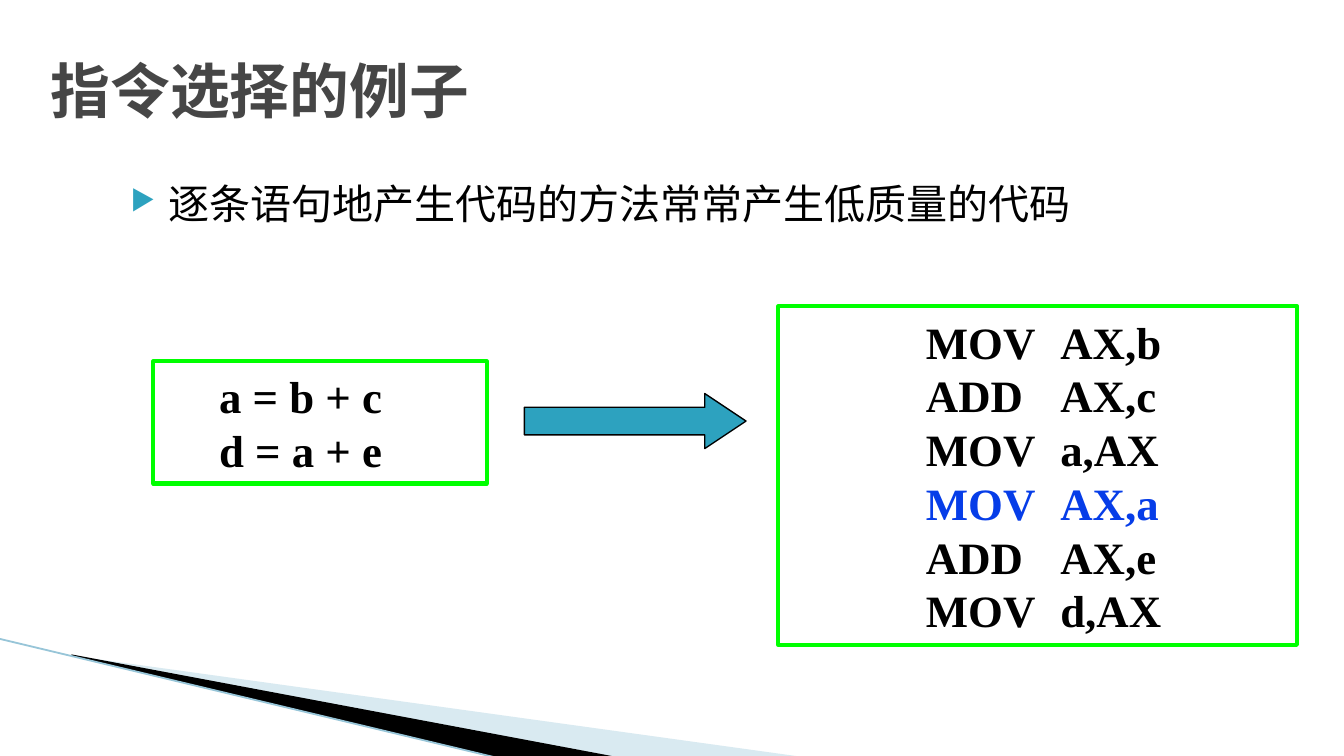
import pptx
import pptx.util
import pptx.dml.color
import pptx.enum.shapes
import pptx.enum.text
import pptx.oxml.ns
from dataclasses import dataclass
from lxml import etree
from pptx.util import Cm, Pt

SHAPE = pptx.enum.shapes.MSO_SHAPE


@dataclass(frozen=True)
class Theme:
    title: str = "464646"
    text: str = "000000"
    accent: str = "2DA2BF"
    frame: str = "00FF00"
    paper: str = "FFFFFF"
    redundant: str = "063DE8"
    wave: str = "A0CBDC"
    wave_edge: str = "97C5D8"
    cjk: str = "Noto Sans CJK SC"
    code: str = "Times New Roman"
    title_size: int = 32
    body_size: int = 22
    code_size: int = 24
    code_leading: float = 28.8


T = Theme()


def rgb(color):
    return pptx.dml.color.RGBColor.from_string(color)


def add_xml(parent, tag, **attrs):
    return etree.SubElement(parent, pptx.oxml.ns.qn(tag), attrs)


def style_run(r, font, size, color, bold=False):
    r.font.name, r.font.size, r.font.bold = font, Pt(size), bold
    r.font.color.rgb = rgb(color)
    add_xml(r.font._element, "a:ea", typeface=font)


def paint(sp, fill, line=None, width=0):
    sp.shadow.inherit = False
    sp.fill.solid()
    sp.fill.fore_color.rgb = rgb(fill)
    if line:
        sp.line.color.rgb = rgb(line)
        sp.line.width = Pt(width)
    else:
        sp.line.fill.background()


def add_polygon(s, left, top, points, fill):
    """Draw a filled outline whose points are offsets in cm from left, top."""
    (x, y), *rest = [(Cm(left + dx), Cm(top + dy)) for dx, dy in points]
    builder = s.shapes.build_freeform(x, y)
    builder.add_line_segments(rest, close=True)
    sp = builder.convert_to_shape()
    paint(sp, fill)
    return sp


def add_corner_wave(s, left, top):
    pale = add_polygon(s, left, top, [(1.4, 0.33), (15.11, 2.23), (11.58, 2.23)], T.wave)
    color = pale.fill._xPr.find(".//" + pptx.oxml.ns.qn("a:srgbClr"))
    add_xml(color, "a:alpha", val="40000")
    add_polygon(s, left, top,
                [(1.35, 0.3), (11.61, 2.23), (9.45, 2.26), (1.37, 0.33)], T.text)
    edge = s.shapes.add_connector(pptx.enum.shapes.MSO_CONNECTOR.STRAIGHT,
                                  Cm(left - 0.03), Cm(top),
                                  Cm(left + 9.42), Cm(top + 2.26))
    edge.line.color.rgb = rgb(T.wave_edge)
    edge.line.width = Pt(0.95)
    add_xml(edge._element.spPr, "a:effectLst")


def add_text_box(s, box, text):
    tf = s.shapes.add_textbox(*map(Cm, box)).text_frame
    tf.word_wrap = True
    tf.text = text
    return tf


def add_title(s, box, text):
    tf = add_text_box(s, box, text)
    tf.vertical_anchor = pptx.enum.text.MSO_ANCHOR.MIDDLE
    style_run(tf.paragraphs[0].runs[0], T.cjk, T.title_size, T.title, True)


def add_bullet(s, box, text):
    p = add_text_box(s, box, text).paragraphs[0]
    p.line_spacing = 0.9
    pPr = p._p.get_or_add_pPr()
    pPr.set("marL", str(Cm(1.02)))
    pPr.set("indent", str(-Cm(0.71)))
    add_xml(add_xml(pPr, "a:buClr"), "a:srgbClr", val=T.accent)
    add_xml(pPr, "a:buSzPct", val="68000")
    add_xml(pPr, "a:buChar", char="▶")
    style_run(p.runs[0], T.cjk, T.body_size, T.text)


def add_code(s, box, lines, hanging=0, marked=None):
    """Frame lines of code; marked is the index of the highlighted line."""
    sp = s.shapes.add_shape(SHAPE.RECTANGLE, *map(Cm, box))
    paint(sp, T.paper, T.frame, 2.25)
    tf = sp.text_frame
    tf.word_wrap = True
    tf.text = "\n".join(lines)
    for i, p in enumerate(tf.paragraphs):
        p.level = 2
        p.alignment = pptx.enum.text.PP_ALIGN.LEFT
        p.line_spacing = Pt(T.code_leading)
        pPr = p._p.get_or_add_pPr()
        pPr.set("marL", str(Cm(2.54)))
        pPr.set("indent", str(-Cm(hanging)))
        color = T.redundant if i == marked else T.text
        style_run(p.runs[0], T.code, T.code_size, color, True)


def add_arrow(s, box):
    sp = s.shapes.add_shape(SHAPE.RIGHT_ARROW, *map(Cm, box))
    sp.adjustments[0], sp.adjustments[1] = 0.5, 0.75
    paint(sp, T.accent, T.text, 0.75)


def main():
    prs = pptx.Presentation()
    prs.slide_width, prs.slide_height = Cm(25.4), Cm(14.29)
    s = prs.slides.add_slide(prs.slide_layouts[6])
    add_corner_wave(s, 0, 12.07)
    add_title(s, (0.71, 0.74, 21.59, 1.91), "指令选择的例子")
    add_code(s, (2.9, 6.83, 6.3, 2.31), ["a = b + c", "d = a + e"], hanging=1.55)
    add_code(s, (14.71, 5.79, 9.8, 6.4),
             ["MOV\tAX,b", "ADD\tAX,c", "MOV\ta,AX",
              "MOV\tAX,a", "ADD\tAX,e", "MOV\td,AX"], marked=3)
    add_bullet(s, (1.91, 3.35, 21.59, 1.5),
               "逐条语句地产生代码的方法常常产生低质量的代码")
    add_arrow(s, (9.91, 7.44, 4.19, 1.04))
    prs.save("out.pptx")


if __name__ == "__main__":
    main()
